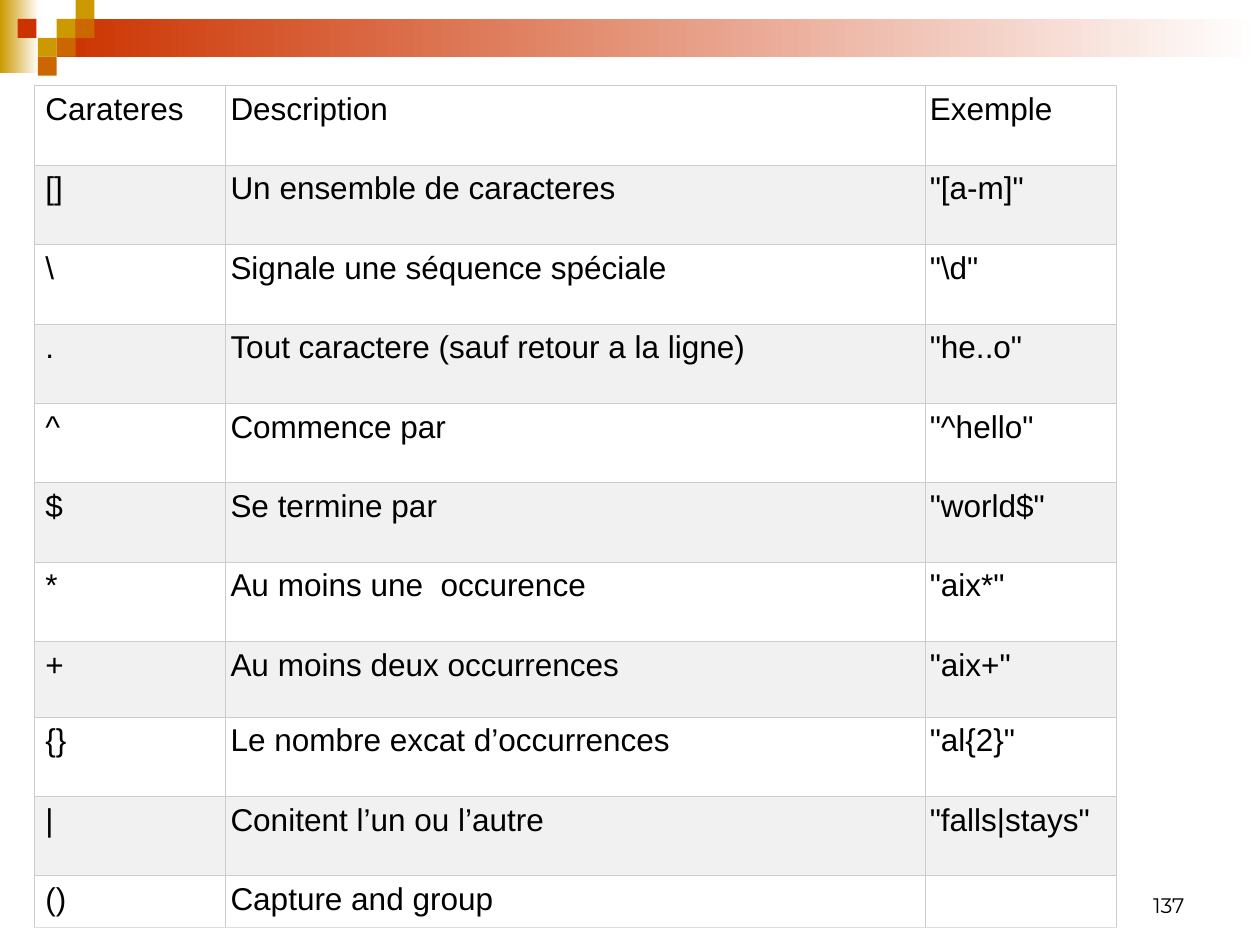
from lxml import etree
from pptx import Presentation
from pptx.dml.color import RGBColor
from pptx.enum.shapes import MSO_SHAPE
from pptx.enum.text import MSO_ANCHOR, PP_ALIGN
from pptx.oxml.ns import qn
from pptx.util import Inches, Pt

RECT = MSO_SHAPE.RECTANGLE
BOTTOM = MSO_ANCHOR.BOTTOM
RIGHT = PP_ALIGN.RIGHT

GOLD = RGBColor(0xCC, 0x99, 0x00)
RED = RGBColor(0xCC, 0x33, 0x00)
ORANGE = RGBColor(0xCC, 0x66, 0x00)
WHITE = RGBColor(0xFF, 0xFF, 0xFF)
BLACK = RGBColor(0x00, 0x00, 0x00)
GREY = RGBColor(0xF1, 0xF1, 0xF1)
RULE = RGBColor(0xCC, 0xCC, 0xCC)
BASE = RGBColor(0xDD, 0xDD, 0xDD)

STEP = 0.15
TILES = [
    (3, 1, GOLD), (4, 0, GOLD), (4, 1, ORANGE), (2, 2, GOLD),
    (0.93, 1, RED), (3, 2, ORANGE), (2, 3, ORANGE),
]
COLS = [1.52, 5.55, 1.52]
ROWS = [0.63] * 7 + [0.6, 0.63, 0.63, 0.41]
DATA = [
    ("Carateres", "Description", "Exemple"),
    ("[]", "Un ensemble de caracteres", '"[a-m]"'),
    ("\\", "Signale une séquence spéciale", '"\\d"'),
    (".", "Tout caractere (sauf retour a la ligne)", '"he..o"'),
    ("^", "Commence par", '"^hello"'),
    ("$", "Se termine par", '"world$"'),
    ("*", "Au moins une  occurence", '"aix*"'),
    ("+", "Au moins deux occurrences", '"aix+"'),
    ("{}", "Le nombre excat d’occurrences", '"al{2}"'),
    ("|", "Conitent l’un ou l’autre", '"falls|stays"'),
    ("()", "Capture and group", ""),
]


def add_rect(slide, box, color, fade=False):
    """Add a plain rectangle, or one that fades to white on the right."""
    shape = slide.shapes.add_shape(RECT, *map(Inches, box))
    shape.shadow.inherit = False
    shape.line.fill.background()
    if not fade:
        shape.fill.solid()
        shape.fill.fore_color.rgb = color
        return
    shape.fill.gradient()
    shape.fill.gradient_angle = 0
    for stop, tone, place in zip(shape.fill.gradient_stops, (color, WHITE), (0, 1)):
        stop.color.rgb = tone
        stop.position = place


def add_banner(slide, box):
    """Draw the fading bars and the mosaic of tiles inside the box."""
    left, top, width, height = box
    add_rect(slide, (left, top, 0.31, height), GOLD, True)
    add_rect(slide, (left + 3 * STEP, top + STEP, width - 3 * STEP, 2 * STEP), RED, True)
    for col, row, color in TILES:
        add_rect(slide, (left + col * STEP, top + row * STEP, STEP, STEP), color)


def add_text(para, text, font, size):
    """Add one black run to the paragraph."""
    run = para.add_run()
    run.text = text
    run.font.name = font
    run.font.size = Pt(size)
    run.font.color.rgb = BLACK


def set_edges(cell, base):
    """Draw thin lines on the four sides of a cell."""
    props = cell._tc.get_or_add_tcPr()
    sides = (("lnL", RULE), ("lnR", RULE), ("lnT", RULE), ("lnB", base))
    for spot, (side, color) in enumerate(sides):
        line = etree.Element(qn("a:" + side), w=str(Pt(0.34)))
        fill = etree.SubElement(line, qn("a:solidFill"))
        etree.SubElement(fill, qn("a:srgbClr"), val=str(color))
        props.insert(spot, line)


def add_grid(slide, box):
    """Add the table of special characters."""
    frame = slide.shapes.add_table(len(ROWS), len(COLS), *map(Inches, box))
    table = frame.table
    table.first_row = False
    table.horz_banding = False
    for col, width in zip(table.columns, COLS):
        col.width = Inches(width)
    for i, (row, height) in enumerate(zip(table.rows, ROWS)):
        row.height = Inches(height)
        for j, (cell, text) in enumerate(zip(row.cells, DATA[i])):
            cell.fill.solid()
            cell.fill.fore_color.rgb = GREY if i % 2 else WHITE
            cell.margin_left = Inches(0.04 if j else 0.09)
            cell.margin_right = Inches(0.04)
            cell.margin_top = cell.margin_bottom = Inches(0.05)
            set_edges(cell, BASE if i == len(ROWS) - 1 else RULE)
            if text:
                add_text(cell.text_frame.paragraphs[0], text, "Arial", 18)


def add_number(slide, box):
    """Add the page number at the lower right."""
    frame = slide.shapes.add_textbox(*map(Inches, box)).text_frame
    frame.word_wrap = True
    frame.vertical_anchor = BOTTOM
    para = frame.paragraphs[0]
    para.alignment = RIGHT
    add_text(para, "137", "Montserrat", 12)


def main():
    """Build and save the slide."""
    deck = Presentation()
    deck.slide_width = Inches(10)
    deck.slide_height = Inches(7.5)
    slide = deck.slides.add_slide(deck.slide_layouts[6])
    add_banner(slide, (0, 0, 10, 0.58))
    add_grid(slide, (0.27, 0.68, sum(COLS), sum(ROWS)))
    add_number(slide, (7.17, 6.83, 2.33, 0.5))
    deck.save("out.pptx")


if __name__ == "__main__":
    main()
